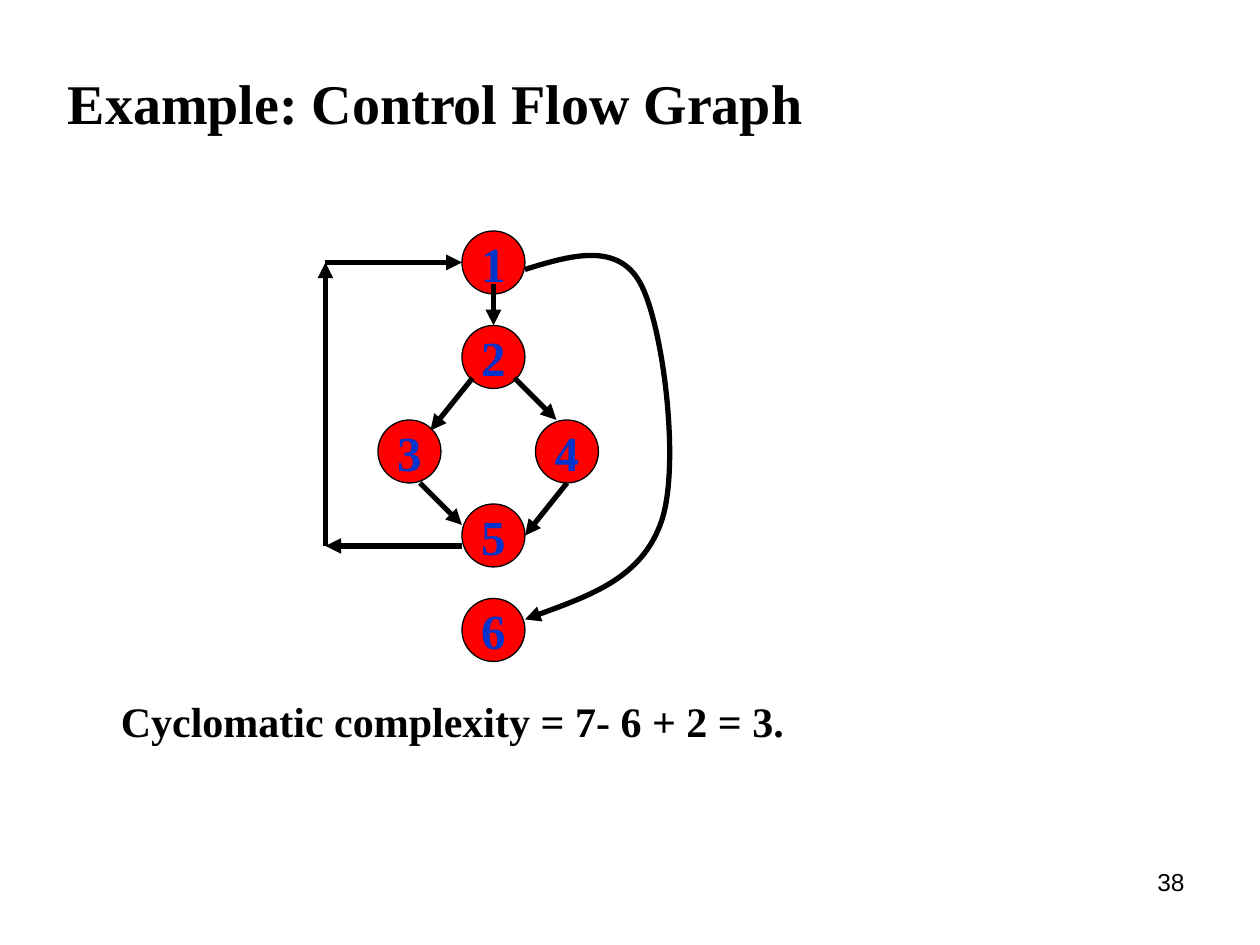
from dataclasses import dataclass

from lxml import etree
from pptx import Presentation
from pptx.dml.color import RGBColor
from pptx.enum.shapes import MSO_CONNECTOR, MSO_SHAPE
from pptx.enum.text import MSO_ANCHOR, MSO_AUTO_SIZE, PP_ALIGN
from pptx.oxml.ns import qn
from pptx.util import Pt

LEFT, CENTER, RIGHT = PP_ALIGN.LEFT, PP_ALIGN.CENTER, PP_ALIGN.RIGHT
TOP, MIDDLE, BOTTOM = MSO_ANCHOR.TOP, MSO_ANCHOR.MIDDLE, MSO_ANCHOR.BOTTOM
NO_FIT = MSO_AUTO_SIZE.NONE
OVAL, STRAIGHT = MSO_SHAPE.OVAL, MSO_CONNECTOR.STRAIGHT
TITLE_ONLY = 5


@dataclass(frozen=True)
class Theme:
    serif: str = "Times New Roman"
    sans: str = "Arial"
    ink: RGBColor = RGBColor(0x00, 0x00, 0x00)
    node_fill: RGBColor = RGBColor(0xFF, 0x00, 0x00)
    node_text: RGBColor = RGBColor(0x00, 0x33, 0xCC)
    title_size: int = 32
    node_size: int = 28
    body_size: int = 24
    number_size: int = 14
    outline: float = 0.75
    edge: float = 3
    node: int = 36


def set_text(tf, text, *, size, font, color, bold=True, align=LEFT, anchor=TOP, wrap=True):
    tf.auto_size = NO_FIT
    tf.word_wrap = wrap
    tf.vertical_anchor = anchor
    p = tf.paragraphs[0]
    p.alignment = align
    r = p.add_run()
    r.text = text
    r.font.size = Pt(size)
    r.font.name = font
    r.font.bold = bold
    r.font.color.rgb = color


class SlideBuilder:
    def __init__(self, slide, theme):
        self.s = slide
        self.theme = theme

    def title(self, text, x, y, w, h):
        sp = self.s.shapes.title
        sp.left, sp.top, sp.width, sp.height = Pt(x), Pt(y), Pt(w), Pt(h)
        t = self.theme
        set_text(sp.text_frame, text, size=t.title_size, font=t.serif,
                 color=t.ink, anchor=BOTTOM)

    def text(self, text, x, y, w, h, **style):
        sp = self.s.shapes.add_textbox(Pt(x), Pt(y), Pt(w), Pt(h))
        set_text(sp.text_frame, text, color=self.theme.ink, **style)

    def node(self, label, x, y):
        t = self.theme
        sp = self.s.shapes.add_shape(OVAL, Pt(x), Pt(y), Pt(t.node), Pt(t.node))
        sp.shadow.inherit = False
        sp.fill.solid()
        sp.fill.fore_color.rgb = t.node_fill
        sp.line.color.rgb = t.ink
        sp.line.width = Pt(t.outline)
        set_text(sp.text_frame, label, size=t.node_size, font=t.serif,
                 color=t.node_text, align=CENTER, anchor=MIDDLE, wrap=False)

    def _style_edge(self, sp):
        sp.line.color.rgb = self.theme.ink
        sp.line.width = Pt(self.theme.edge)
        etree.SubElement(sp.line._get_or_add_ln(), qn("a:tailEnd"), type="triangle")

    def arrow(self, start, end):
        sp = self.s.shapes.add_connector(STRAIGHT, *(Pt(v) for v in (*start, *end)))
        self._style_edge(sp)
        etree.SubElement(sp._element.spPr, qn("a:effectLst"))

    def curved_arrow(self, start, points):
        """Draw cubic curves; each three points are two controls and an end."""
        builder = self.s.shapes.build_freeform(Pt(start[0]), Pt(start[1]))
        builder.add_line_segments([(Pt(x), Pt(y)) for x, y in points], close=False)
        sp = builder.convert_to_shape()
        sp.shadow.inherit = False
        sp.fill.background()
        self._style_edge(sp)
        lines = list(sp._element.iter(qn("a:lnTo")))
        for i in range(0, len(lines), 3):
            curve = etree.Element(qn("a:cubicBezTo"))
            lines[i].addprevious(curve)
            for line in lines[i:i + 3]:
                curve.append(line[0])
                line.getparent().remove(line)


def main():
    prs = Presentation()
    prs.slide_width, prs.slide_height = Pt(720), Pt(540)
    theme = Theme()
    slide = SlideBuilder(prs.slides.add_slide(prs.slide_layouts[TITLE_ONLY]), theme)

    slide.title("Example: Control Flow Graph", 31.5, 30, 612, 51)

    nodes = [(264, 132), (264, 186), (216, 240), (306, 240), (264, 288), (264, 342)]
    for number, (x, y) in enumerate(nodes, 1):
        slide.node(str(number), x, y)

    branches = [
        ((282, 162), (282, 186)),
        ((270, 216), (246, 246)),
        ((294, 216), (318, 240)),
        ((240, 276), (264, 300)),
        ((324, 276), (300, 306)),
    ]
    loop_back = [(264, 312), (186, 312), (186, 150), (264, 150)]
    for start, end in branches + list(zip(loop_back, loop_back[1:])):
        slide.arrow(start, end)

    slide.curved_arrow((300, 154), [
        (326, 146), (353, 138), (366, 162),
        (379, 186), (389, 266), (378, 298),
        (367, 330), (333, 342), (300, 354),
    ])

    slide.text("38", 516, 492, 168, 37.5, size=theme.number_size,
               font=theme.sans, bold=False, align=RIGHT)
    slide.text("Cyclomatic complexity = 7- 6 + 2 = 3.", 62, 394, 624, 36,
               size=theme.body_size, font=theme.serif)

    prs.save("out.pptx")


if __name__ == "__main__":
    main()
